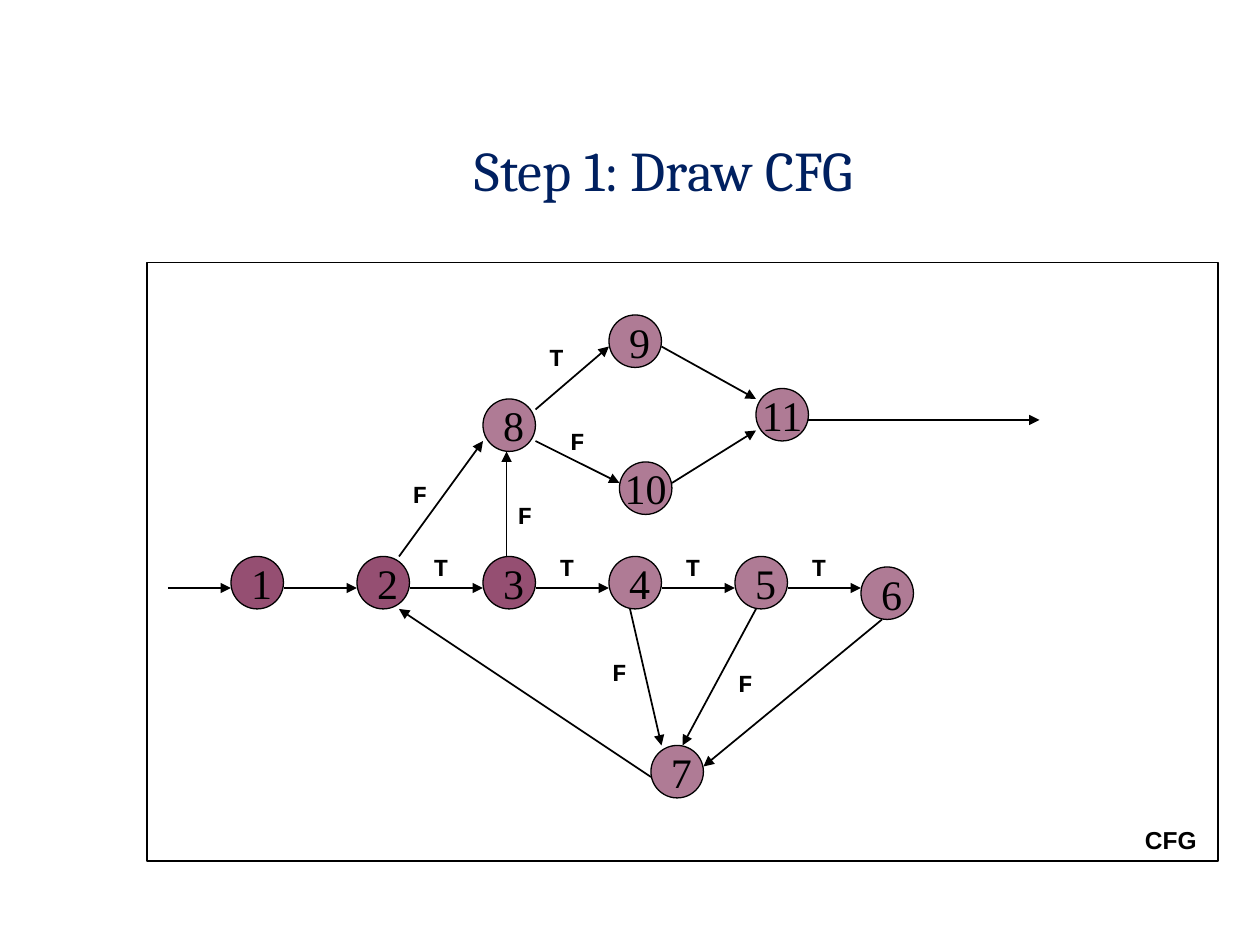
from dataclasses import dataclass

import pptx
import pptx.dml.color
import pptx.enum.shapes
import pptx.enum.text
import pptx.oxml.ns
import pptx.util
from lxml import etree

Inches = pptx.util.Inches
Align = pptx.enum.text.PP_ALIGN
Anchor = pptx.enum.text.MSO_ANCHOR
Fit = pptx.enum.text.MSO_AUTO_SIZE
Kind = pptx.enum.shapes.MSO_SHAPE

COLORS = {"ink": "000000", "title": "002060", "node": "954F72"}
SIZE = 5
TITLE = {"name": "Cambria", "size": pptx.util.Pt(32)}
DIGIT = {"name": "Times New Roman", "size": pptx.util.Pt(24)}
BRANCH = {"name": "Courier New", "size": pptx.util.Pt(14), "bold": True}
CAPTION = {**BRANCH, "name": "Arial"}
TIGHT = {
    "margin_left": Inches(0.07), "margin_right": Inches(0.07),
    "margin_top": Inches(0.03), "margin_bottom": Inches(0.03),
    "word_wrap": False, "auto_size": Fit.SHAPE_TO_FIT_TEXT,
}
GROW = {"word_wrap": True, "auto_size": Fit.SHAPE_TO_FIT_TEXT}
INNER = {"word_wrap": False, "vertical_anchor": Anchor.MIDDLE}


@dataclass(frozen=True)
class Node:
    name: str
    left: float
    top: float
    alpha: int = 75
    align: Align = Align.LEFT


@dataclass(frozen=True)
class Edge:
    x1: float
    y1: float
    x2: float
    y2: float


@dataclass(frozen=True)
class Label:
    text: str
    left: float
    top: float
    width: float = 6


def unit(count: float) -> pptx.util.Length:
    return Inches(count / 12)


def tint(name: str) -> pptx.dml.color.RGBColor:
    return pptx.dml.color.RGBColor.from_string(COLORS[name])


def apply(target, values: dict) -> None:
    for key, value in values.items():
        setattr(target, key, value)


def write(shape, text: str, font: dict, frame: dict,
          align: Align = Align.CENTER, color: str = "ink"):
    apply(shape.text_frame, frame)
    para = shape.text_frame.paragraphs[0]
    para.alignment = align
    run = para.add_run()
    run.text = text
    apply(run.font, font)
    run.font.color.rgb = tint(color)
    return para


def outline(shape, width: float) -> None:
    shape.line.color.rgb = tint("ink")
    shape.line.width = pptx.util.Pt(width)


def draw_node(slide, node: Node) -> None:
    shape = slide.shapes.add_shape(
        Kind.OVAL, unit(node.left), unit(node.top), unit(SIZE), unit(SIZE))
    shape.shadow.inherit = False
    shape.fill.solid()
    shape.fill.fore_color.rgb = tint("node")
    if node.alpha < 100:
        color = shape.fill._xPr.find(".//" + pptx.oxml.ns.qn("a:srgbClr"))
        etree.SubElement(color, pptx.oxml.ns.qn("a:alpha"),
                         val=str(node.alpha * 1000))
    outline(shape, 0.75)
    write(shape, node.name, DIGIT, INNER, node.align)


def draw_edge(slide, edge: Edge) -> None:
    line = slide.shapes.add_connector(
        pptx.enum.shapes.MSO_CONNECTOR.STRAIGHT,
        unit(edge.x1), unit(edge.y1), unit(edge.x2), unit(edge.y2))
    outline(line, 1)
    etree.SubElement(line.line._get_or_add_ln(),
                     pptx.oxml.ns.qn("a:tailEnd"), type="triangle")
    etree.SubElement(line._element.spPr, pptx.oxml.ns.qn("a:effectLst"))


def draw_label(slide, label: Label, font: dict) -> None:
    box = slide.shapes.add_textbox(
        unit(label.left), unit(label.top), unit(label.width), unit(4))
    write(box, label.text, font, GROW)


def draw_frame(slide) -> None:
    frame = slide.shapes.add_shape(
        Kind.RECTANGLE, unit(14), unit(25), unit(102), unit(57))
    frame.shadow.inherit = False
    frame.fill.background()
    outline(frame, 1)


def draw_title(slide) -> None:
    box = slide.shapes.add_textbox(
        Inches(3.37), Inches(1.11), Inches(3.8), Inches(0.6))
    para = write(box, "Step 1: Draw CFG", TITLE, TIGHT, color="title")
    para.line_spacing = 0.9


NODES = [
    *(Node(str(i), 10 + 12 * i, 53, 100 if i < 4 else 75) for i in range(1, 6)),
    Node("6", 82, 54),
    Node("7", 62, 71),
    Node("9", 58, 30),
    Node("8", 46, 38),
    Node("10", 59, 44, align=Align.CENTER),
    Node("11", 72, 37, align=Align.CENTER),
]
EDGES = [
    Edge(16, 56, 22, 56),
    *(Edge(x, 56, x + 7, 56) for x in range(27, 76, 12)),
    Edge(84, 59, 67, 73),
    Edge(72, 58, 65, 71),
    Edge(60, 58, 63, 71),
    Edge(62, 74, 38, 58),
    Edge(38, 53, 46, 42),
    Edge(48.25, 53, 48.25, 43),
    Edge(51, 39, 58, 33),
    Edge(51, 42, 59, 46),
    Edge(63, 33, 72, 38),
    Edge(64, 46, 72, 41),
    Edge(77, 40, 99, 40),
]
LABELS = [
    *(Label("T", x, 52) for x in range(39, 76, 12)),
    Label("T", 50, 32),
    Label("F", 52, 40),
    Label("F", 37, 45),
    Label("F", 47, 47),
    Label("F", 56, 62),
    Label("F", 68, 63),
]


def main() -> None:
    deck = pptx.Presentation()
    apply(deck, {"slide_width": Inches(10), "slide_height": Inches(7.5)})
    slide = deck.slides.add_slide(deck.slide_layouts[6])
    draw_title(slide)
    for node in NODES:
        draw_node(slide, node)
    for edge in EDGES:
        draw_edge(slide, edge)
    draw_frame(slide)
    draw_label(slide, Label("CFG", 107, 78, 9), CAPTION)
    for label in LABELS:
        draw_label(slide, label, BRANCH)
    deck.save("out.pptx")


if __name__ == "__main__":
    main()
